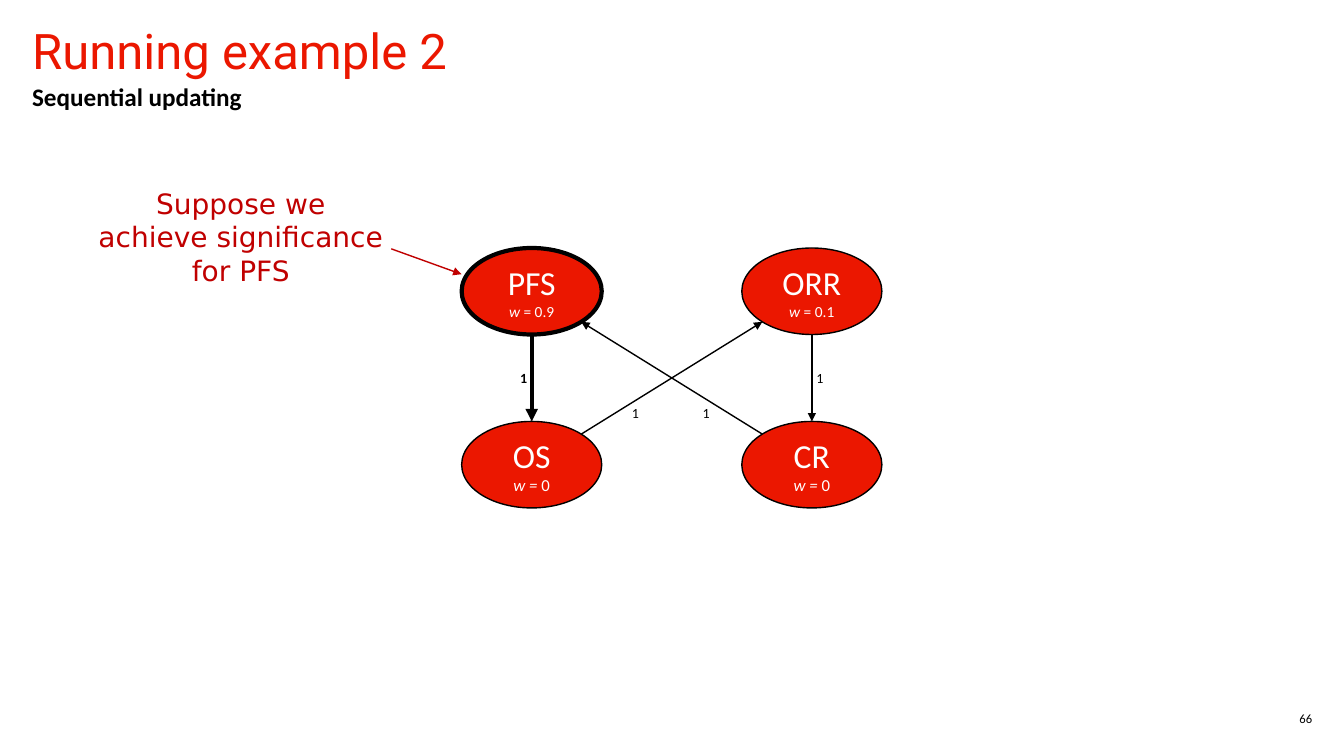
import math
from dataclasses import dataclass

import pptx
import pptx.dml.color
import pptx.enum.shapes
import pptx.enum.text
import pptx.oxml
import pptx.oxml.ns
import pptx.util
from pptx.enum.text import MSO_ANCHOR, PP_ALIGN
from pptx.util import Cm, Pt

RED = pptx.dml.color.RGBColor(0xEB, 0x17, 0x00)
DARK_RED = pptx.dml.color.RGBColor(0xC0, 0x00, 0x00)
BLACK = pptx.dml.color.RGBColor(0x00, 0x00, 0x00)
WHITE = pptx.dml.color.RGBColor(0xFF, 0xFF, 0xFF)

NODE_WIDTH, NODE_HEIGHT = 3.53, 2.18
COLUMNS = (13.4, 20.46)
ROWS = (7.34, 11.71)
DIAGONAL = math.sqrt(0.5)
LABEL_WIDTH, LABEL_HEIGHT = 1.09, 0.43


@dataclass(frozen=True)
class Style:
    size: float
    color: pptx.dml.color.RGBColor = BLACK
    font: str = "Calibri"
    bold: bool = False
    italic: bool = False


@dataclass(frozen=True)
class Caption:
    text: str
    left: float
    top: float
    width: float
    height: float
    style: Style
    align: PP_ALIGN = PP_ALIGN.LEFT
    anchor: MSO_ANCHOR = MSO_ANCHOR.TOP
    spacing: float = 1.0
    inset: bool = False


@dataclass(frozen=True)
class Node:
    name: str
    weight_name: str
    weight_value: str
    weight_size: float
    column: int
    row: int
    line: float = 1

    def point(self, across: float, down: float) -> tuple[float, float]:
        return (COLUMNS[self.column] + across * NODE_WIDTH / 2,
                ROWS[self.row] + down * NODE_HEIGHT / 2)


@dataclass(frozen=True)
class Arrow:
    start: tuple[float, float]
    end: tuple[float, float]
    line: float = 1
    color: pptx.dml.color.RGBColor = BLACK


def add_span(para, text: str, style: Style) -> None:
    span = para.add_run()
    span.text = text
    span.font.size = Pt(style.size)
    span.font.name = style.font
    span.font.bold = style.bold
    span.font.italic = style.italic
    span.font.color.rgb = style.color


def add_caption(page, caption: Caption) -> None:
    box = page.shapes.add_textbox(Cm(caption.left), Cm(caption.top),
                                  Cm(caption.width), Cm(caption.height))
    frame = box.text_frame
    frame.word_wrap = True
    frame.vertical_anchor = caption.anchor
    if not caption.inset:
        frame.margin_left = frame.margin_right = 0
        frame.margin_top = frame.margin_bottom = 0
    para = frame.paragraphs[0]
    para.alignment = caption.align
    para.line_spacing = caption.spacing
    add_span(para, caption.text, caption.style)


def add_node(page, node: Node) -> None:
    left, top = node.point(-1, -1)
    oval = page.shapes.add_shape(pptx.enum.shapes.MSO_SHAPE.OVAL, Cm(left), Cm(top),
                                 Cm(NODE_WIDTH), Cm(NODE_HEIGHT))
    oval.shadow.inherit = False
    oval.fill.solid()
    oval.fill.fore_color.rgb = RED
    oval.line.color.rgb = BLACK
    oval.line.width = Pt(node.line)
    frame = oval.text_frame
    frame.word_wrap = True
    frame.vertical_anchor = MSO_ANCHOR.MIDDLE
    name_para, weight_para = frame.paragraphs[0], frame.add_paragraph()
    name_para.alignment = weight_para.alignment = PP_ALIGN.CENTER
    add_span(name_para, node.name, Style(24, WHITE))
    add_span(weight_para, node.weight_name, Style(node.weight_size, WHITE, italic=True))
    add_span(weight_para, node.weight_value, Style(node.weight_size, WHITE))


def add_arrow(page, arrow: Arrow) -> None:
    connector = page.shapes.add_connector(
        pptx.enum.shapes.MSO_CONNECTOR.STRAIGHT,
        *(Cm(length) for length in arrow.start + arrow.end))
    connector.line.color.rgb = arrow.color
    connector.line.width = Pt(arrow.line)
    head = pptx.oxml.parse_xml(
        f'<a:tailEnd {pptx.oxml.ns.nsdecls("a")} type="triangle"/>')
    connector.line._get_or_add_ln().append(head)
    effects = pptx.oxml.parse_xml(f'<a:effectLst {pptx.oxml.ns.nsdecls("a")}/>')
    connector._element.spPr.append(effects)


def edge_label(left: float, top: float, bold: bool = False) -> Caption:
    return Caption("1", left, top, LABEL_WIDTH, LABEL_HEIGHT, Style(10, bold=bold),
                   PP_ALIGN.CENTER, MSO_ANCHOR.MIDDLE)


PFS = Node("PFS", "w", " = 0.9", 11, 0, 0, 3)
ORR = Node("ORR", "w", " = 0.1", 11, 1, 0)
OS = Node("OS", "w = ", "0", 12, 0, 1)
CR = Node("CR", "w = ", "0", 12, 1, 1)

ARROWS = (
    Arrow((9.86, 6.27), (11.63, 6.91), color=DARK_RED),
    Arrow(OS.point(DIAGONAL, -DIAGONAL), ORR.point(-DIAGONAL, DIAGONAL)),
    Arrow(CR.point(-DIAGONAL, -DIAGONAL), PFS.point(DIAGONAL, DIAGONAL)),
    Arrow(PFS.point(0, 1), OS.point(0, -1), 3),
    Arrow(ORR.point(0, 1), CR.point(0, -1)),
)

CAPTIONS = (
    Caption("Running example 2", 0.81, 0.74, 32.26, 1.3,
            Style(35, RED, "Roboto"), spacing=0.85),
    Caption("Sequential updating", 0.81, 1.98, 32.26, 0.81,
            Style(18, bold=True), spacing=1.1),
    Caption("66", 32.18, 17.88, 0.89, 0.43, Style(9), PP_ALIGN.RIGHT,
            MSO_ANCHOR.MIDDLE, 1.1),
    Caption("Suppose we achieve significance for PFS", 2.21, 4.57, 7.72, 1.96,
            Style(20, DARK_RED, "DejaVu Sans"), PP_ALIGN.CENTER, inset=True),
    edge_label(12.65, 9.32, bold=True),
    edge_label(20.12, 9.32),
    edge_label(15.47, 10.19),
    edge_label(17.25, 10.19),
)


def main() -> None:
    deck = pptx.Presentation()
    deck.slide_width, deck.slide_height = Cm(33.87), Cm(19.05)
    page = deck.slides.add_slide(deck.slide_layouts[6])
    for arrow in ARROWS:
        add_arrow(page, arrow)
    for node in (PFS, ORR, OS, CR):
        add_node(page, node)
    for caption in CAPTIONS:
        add_caption(page, caption)
    deck.save("out.pptx")


if __name__ == "__main__":
    main()
